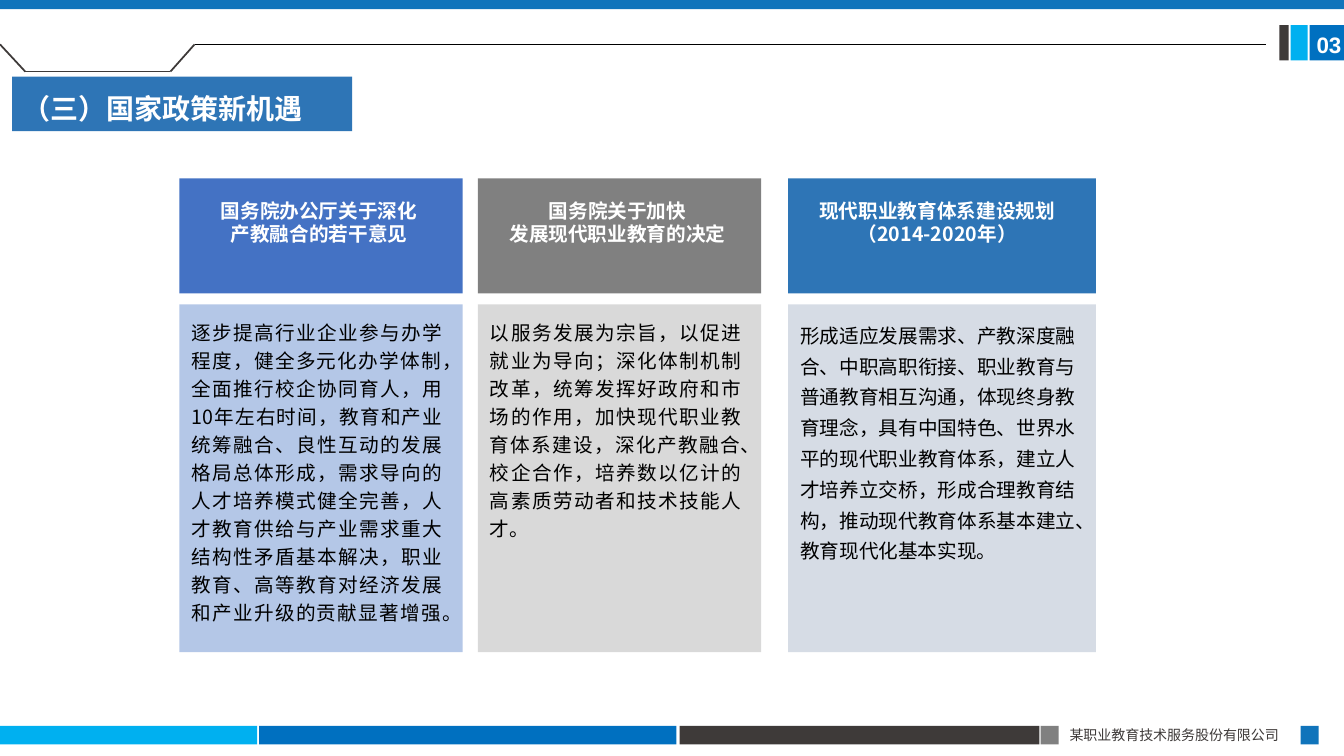
from dataclasses import dataclass
from itertools import pairwise

from lxml import etree
from pptx import Presentation
from pptx import util as u
from pptx.dml.color import RGBColor
from pptx.enum import shapes, text
from pptx.oxml import ns

WIDTH, HEIGHT = u.Inches(13.33), u.Inches(7.5)
SANS, LATIN = "Noto Sans CJK SC", "Arial"

WHITE = RGBColor(0xFF, 0xFF, 0xFF)
BLACK = RGBColor(0x00, 0x00, 0x00)
INK = RGBColor(0x3E, 0x3A, 0x39)
SKY = RGBColor(0x00, 0xB0, 0xF0)
BLUE = RGBColor(0x00, 0x70, 0xC0)
DEEP = RGBColor(0x10, 0x74, 0xBB)
STEEL = RGBColor(0x2E, 0x75, 0xB6)
ROYAL = RGBColor(0x44, 0x72, 0xC4)
GREY = RGBColor(0x80, 0x80, 0x80)
PALE_BLUE = RGBColor(0xB4, 0xC7, 0xE7)
PALE_GREY = RGBColor(0xD9, 0xD9, 0xD9)
PALE_STEEL = RGBColor(0xD6, 0xDC, 0xE5)


@dataclass
class Box:
    """Place and size in percent of the slide's width and height."""
    x: float
    y: float
    w: float
    h: float

    def emu(self) -> tuple[int, int, int, int]:
        return across(self.x), down(self.y), across(self.w), down(self.h)


@dataclass
class Style:
    size: float
    color: RGBColor
    bold: bool = False
    font: str = SANS
    align: text.PP_ALIGN = text.PP_ALIGN.LEFT
    pitch: float | u.Pt | None = None
    inset: bool = False
    wrap: bool = True


@dataclass
class Card:
    x: float
    w: float
    trim: float  # how much narrower the heading text is than the card
    dark: RGBColor
    pale: RGBColor
    head: str
    body: str
    pitch: int


def across(share: float) -> int:
    return round(WIDTH * share / 100)


def down(share: float) -> int:
    return round(HEIGHT * share / 100)


def block(slide, box: Box, color: RGBColor) -> None:
    rect = slide.shapes.add_shape(shapes.MSO_SHAPE.RECTANGLE, *box.emu())
    rect.shadow.inherit = False
    rect.fill.solid()
    rect.fill.fore_color.rgb = color
    rect.line.fill.background()


def write(shape, words: str, style: Style) -> None:
    frame = shape.text_frame
    frame.text = words
    frame.word_wrap = style.wrap
    frame.auto_size = text.MSO_AUTO_SIZE.NONE
    frame.vertical_anchor = text.MSO_ANCHOR.TOP
    if style.inset:
        frame.margin_left = frame.margin_right = u.Inches(0.16)
        frame.margin_top = frame.margin_bottom = 0
    for para in frame.paragraphs:
        para.alignment = style.align
        para.line_spacing = style.pitch
        for run in para.runs:
            run.font.size = u.Pt(style.size)
            run.font.bold = style.bold
            run.font.color.rgb = style.color
            run.font.name = style.font
            east = etree.SubElement(run._r.get_or_add_rPr(), ns.qn("a:ea"))
            east.set("typeface", style.font)


def label(slide, box: Box, words: str, style: Style) -> None:
    write(slide.shapes.add_textbox(*box.emu()), words, style)


def line(slide, start: tuple, end: tuple, color: RGBColor, width: float) -> None:
    rule = slide.shapes.add_connector(
        shapes.MSO_CONNECTOR.STRAIGHT, across(start[0]), down(start[1]),
        across(end[0]), down(end[1]))
    rule.line.color.rgb = color
    rule.line.width = u.Pt(width)
    etree.SubElement(rule.element.spPr, ns.qn("a:effectLst"))


def draw_card(slide, card: Card) -> None:
    block(slide, Box(card.x, 40.27, card.w, 46), card.pale)
    block(slide, Box(card.x, 23.6, card.w, 15.2), card.dark)
    label(slide, Box(card.x, 26.3, card.w - card.trim, 18.9), card.head,
          Style(14, WHITE, bold=True, align=text.PP_ALIGN.CENTER,
                inset=True, wrap=False))
    label(slide, Box(card.x - 0.3, 41.87, card.w, 42.8), card.body,
          Style(14, BLACK, align=text.PP_ALIGN.JUSTIFY,
                pitch=u.Pt(card.pitch), inset=True))


BARS = [
    # Footer strip
    (Box(0, 96, 19.13, 2.45), SKY),
    (Box(19.28, 96, 31.06, 2.45), BLUE),
    (Box(50.56, 96, 26.78, 2.45), INK),
    (Box(77.42, 96, 1.35, 2.45), GREY),
    (Box(96.77, 96, 1.35, 2.45), DEEP),
    # Page number badge and top edge
    (Box(97.45, 3.33, 2.55, 4.67), BLUE),
    (Box(96.02, 3.33, 1.28, 4.67), SKY),
    (Box(95.2, 3.33, 0.68, 4.67), INK),
    (Box(0, 0, 100, 1.2), DEEP),
]

NOTCH = [(0, 5.87), (1.88, 9.47), (12.68, 9.47), (14.48, 5.87)]

CARDS = [
    Card(13.35, 21.08, 0.3, ROYAL, PALE_BLUE,
         "国务院办公厅关于深化\n产教融合的若干意见",
         "逐步提高行业企业参与办学程度，健全多元化办学体制，全面推行校企协同育人，"
         "用10年左右时间，教育和产业统筹融合、良性互动的发展格局总体形成，"
         "需求导向的人才培养模式健全完善，人才教育供给与产业需求重大结构性矛盾基本解决，"
         "职业教育、高等教育对经济发展和产业升级的贡献显著增强。", 20),
    Card(35.56, 21.08, 0.3, GREY, PALE_GREY,
         "国务院关于加快\n发展现代职业教育的决定",
         "以服务发展为宗旨，以促进就业为导向；深化体制机制改革，统筹发挥好政府和市场的作用，"
         "加快现代职业教育体系建设，深化产教融合、校企合作，"
         "培养数以亿计的高素质劳动者和技术技能人才。", 20),
    Card(58.64, 22.9, 0.7, STEEL, PALE_STEEL,
         "现代职业教育体系建设规划\n（2014-2020年）",
         "形成适应发展需求、产教深度融合、中职高职衔接、职业教育与普通教育相互沟通，"
         "体现终身教育理念，具有中国特色、世界水平的现代职业教育体系，"
         "建立人才培养立交桥，形成合理教育结构，推动现代教育体系基本建立、"
         "教育现代化基本实现。", 22),
]


def main() -> None:
    deck = Presentation()
    deck.slide_width, deck.slide_height = WIDTH, HEIGHT
    slide = deck.slides.add_slide(deck.slide_layouts[5])

    # Frame: bars, footer name, page number, header line
    for box, color in BARS:
        block(slide, box, color)
    label(slide, Box(78.84, 95.47, 18, 3.6), "某职业教育技术服务股份有限公司",
          Style(10, INK, align=text.PP_ALIGN.JUSTIFY))
    label(slide, Box(97.22, 3.47, 3.75, 4.93), "03",
          Style(16, WHITE, bold=True, font=LATIN))
    for start, end in pairwise(NOTCH):
        line(slide, start, end, INK, 1.25)
    line(slide, NOTCH[-1], (94.22, 5.87), BLACK, 0.5)

    # Policy cards
    for card in CARDS:
        draw_card(slide, card)

    # Title over its band
    block(slide, Box(0.9, 10.15, 25.3, 7.2), STEEL)
    title = slide.shapes.title
    slide.shapes.element.append(title.element)
    title.left, title.top, title.width, title.height = Box(0.9, 10.15, 23.33, 7.2).emu()
    write(title, "（三）国家政策新机遇", Style(20, WHITE, bold=True, pitch=1.3))

    deck.save("out.pptx")


if __name__ == "__main__":
    main()
